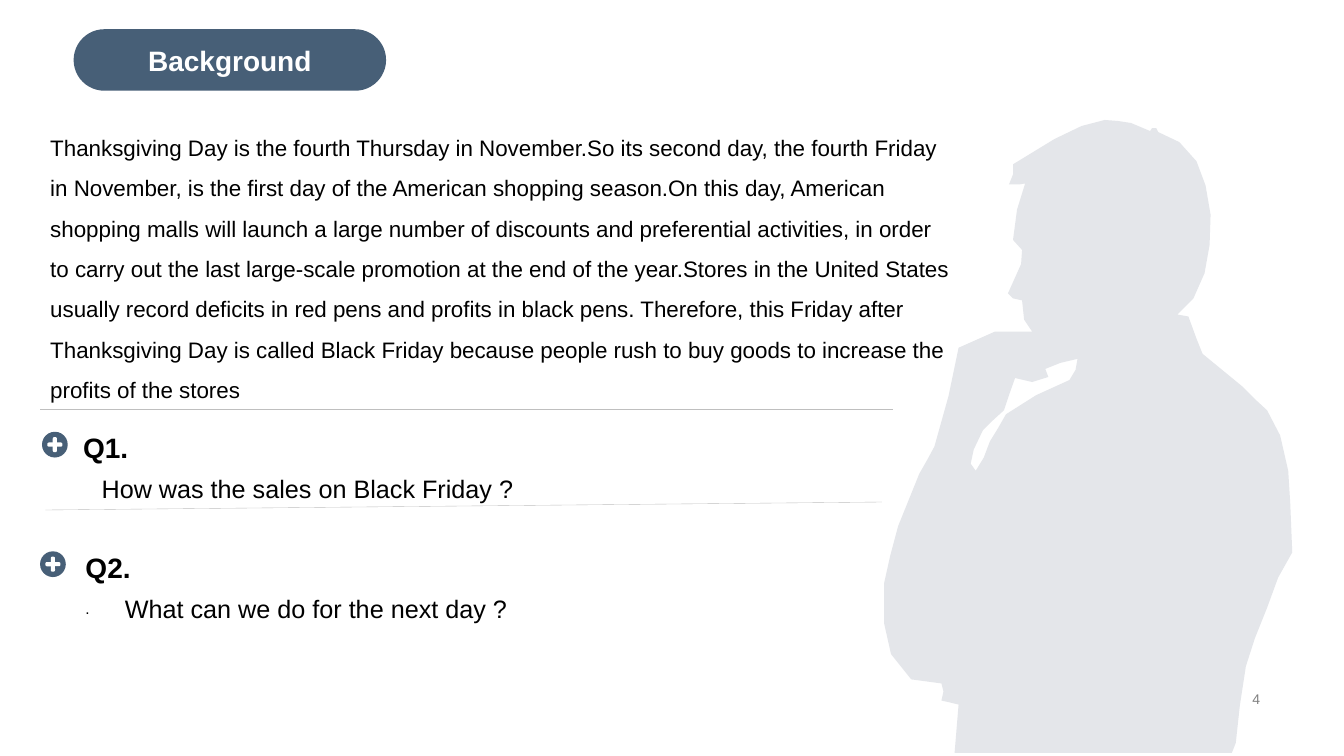
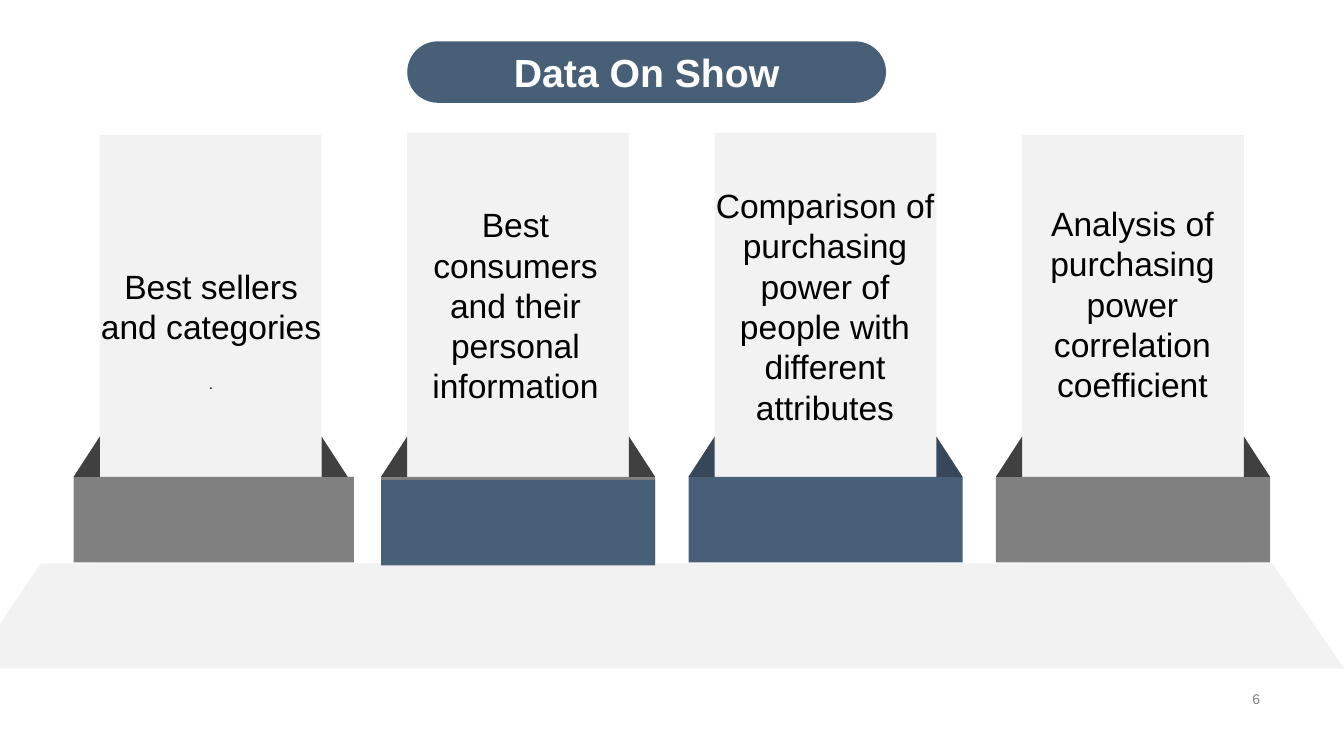
from lxml.etree import SubElement
from pptx import Presentation
from pptx.dml.color import RGBColor
from pptx.enum.shapes import MSO_CONNECTOR, MSO_SHAPE
from pptx.enum.text import MSO_ANCHOR, PP_ALIGN
from pptx.oxml.ns import qn
from pptx.util import Pt

FONT = "Arial"
BLACK, WHITE = "000000", "FFFFFF"
NAVY, DARK_NAVY = "475F77", "354759"
GREY, DARK_GREY, PALE = "808080", "404040", "F2F2F2"
RULE, SILHOUETTE = "BFBFBF", "E4E6EA"


def add_filled(slide, kind, box, fill):
    """Add a flat preset shape; box is left, top, width, height in points."""
    shape = slide.shapes.add_shape(kind, *map(Pt, box))
    shape.shadow.inherit = False
    shape.fill.solid()
    shape.fill.fore_color.rgb = RGBColor.from_string(fill)
    shape.line.fill.background()
    return shape


def set_text(shape, text, size, color=BLACK, bold=False, align=PP_ALIGN.LEFT,
             anchor=MSO_ANCHOR.TOP, spacing=1.0):
    frame = shape.text_frame
    frame.word_wrap = True
    frame.vertical_anchor = anchor
    paragraph = frame.paragraphs[0]
    paragraph.text = text
    paragraph.alignment = align
    paragraph.line_spacing = spacing
    paragraph.font.name = FONT
    paragraph.font.size = Pt(size)
    paragraph.font.bold = bold
    paragraph.font.color.rgb = RGBColor.from_string(color)


prs = Presentation()
prs.slide_width, prs.slide_height = Pt(960), Pt(540)
blank = prs.slide_layouts[6]
background, data_show = (prs.slides.add_slide(blank) for _ in range(2))

# Shared title pill and page number
for slide, title, size, box, number in [
    (background, "Background", 20, (52.6, 20.9, 223.2, 43.9), "4"),
    (data_show, "Data On Show", 28, (290.9, 29.5, 342, 43.9), "6"),
]:
    pill = add_filled(slide, MSO_SHAPE.ROUNDED_RECTANGLE, box, NAVY)
    pill.adjustments[0] = 0.5
    set_text(pill, title, size, WHITE, True, PP_ALIGN.CENTER, MSO_ANCHOR.MIDDLE)
    page = slide.shapes.add_textbox(Pt(678.2), Pt(491), Pt(229), Pt(16.6))
    set_text(page, number, 10, GREY, align=PP_ALIGN.RIGHT, anchor=MSO_ANCHOR.MIDDLE)

# Background: thinking figure, outline in units of 0.72 pt
figure_outline = [
    (934, 678), (936, 686), (934, 695), (943, 697), (951, 699), (947, 747),
    (1222, 747), (1226, 737), (1230, 700), (1236, 661), (1245, 633), (1257, 603),
    (1268, 573), (1282, 548), (1280, 499), (1278, 467), (1270, 432), (1257, 407),
    (1245, 396), (1232, 383), (1193, 351), (1187, 336), (1179, 314), (1168, 312),
    (1184, 296), (1195, 271), (1200, 243), (1201, 213), (1196, 184), (1187, 160),
    (1170, 141), (1149, 131), (1147, 127), (1143, 127), (1141, 130), (1122, 122),
    (1109, 120), (1096, 119), (1073, 125), (1046, 138), (1005, 163), (1005, 173),
    (1001, 183), (1011, 183), (1017, 182), (1009, 208), (1005, 238), (1014, 248),
    (1013, 262), (1000, 291), (1005, 296), (1014, 298), (1016, 317), (1024, 329),
    (987, 329), (951, 345), (941, 393), (927, 443), (920, 456), (912, 470),
    (891, 522), (883, 552), (877, 579), (877, 618), (884, 649), (904, 674),
]
arm_gap = [
    (975, 427), (985, 417), (996, 407), (1001, 392), (1007, 375), (1024, 379),
    (1040, 374), (1037, 366), (1052, 360), (1069, 356), (1067, 367), (1061, 377),
    (1028, 392), (998, 411), (990, 425), (982, 438), (976, 454), (968, 467),
    (963, 460), (966, 446),
]
builder = background.shapes.build_freeform(*figure_outline[0], scale=Pt(0.72))
builder.add_line_segments(figure_outline[1:])
builder.move_to(*arm_gap[0])
builder.add_line_segments(arm_gap[1:])
figure = builder.convert_to_shape()
figure.shadow.inherit = False
figure.fill.solid()
figure.fill.fore_color.rgb = RGBColor.from_string(SILHOUETTE)
figure.line.fill.background()

story = (
    "Thanksgiving Day is the fourth Thursday in November.So its second day, the "
    "fourth Friday in November, is the first day of the American shopping season."
    "On this day, American shopping malls will launch a large number of discounts "
    "and preferential activities, in order to carry out the last large-scale "
    "promotion at the end of the year.Stores in the United States usually record "
    "deficits in red pens and profits in black pens. Therefore, this Friday after "
    "Thanksgiving Day is called Black Friday because people rush to buy goods to "
    "increase the profits of the stores"
)
body = background.shapes.add_textbox(Pt(28.8), Pt(82.8), Pt(661), Pt(130.3))
set_text(body, story, 16, spacing=1.5)

for ends in [(28.8, 292.3, 637.9, 292.3), (32.4, 364.3, 630, 358.6)]:
    divider = background.shapes.add_connector(MSO_CONNECTOR.STRAIGHT, *map(Pt, ends))
    divider.line.width = Pt(0.25)
    divider.line.color.rgb = RGBColor.from_string(RULE)
    SubElement(divider._element.spPr, qn("a:effectLst"))

# Background: questions, each with a plus badge
for label, question, badge_x, badge_y, label_x, label_y, question_x, question_y in [
    ("Q1.", "How was the sales on Black Friday ?", 30, 308.4, 52.3, 299.5, 65.5, 334.8),
    ("Q2.", "What can we do for the next day ?", 28.6, 393.8, 54, 385.2, 82.1, 420.5),
]:
    add_filled(background, MSO_SHAPE.OVAL, (badge_x, badge_y, 18.4, 18.4), NAVY)
    for width, height in [(10.8, 3), (3, 10.8)]:
        bar_box = (badge_x + 9.2 - width / 2, badge_y + 9.2 - height / 2, width, height)
        bar = add_filled(background, MSO_SHAPE.ROUNDED_RECTANGLE, bar_box, WHITE)
        bar.adjustments[0] = 0.4
    heading = background.shapes.add_textbox(Pt(label_x), Pt(label_y), Pt(200), Pt(35.3))
    set_text(heading, label, 20, bold=True, anchor=MSO_ANCHOR.BOTTOM)
    line = background.shapes.add_textbox(Pt(question_x), Pt(question_y), Pt(391), Pt(28.8))
    set_text(line, question, 18)

dot = background.shapes.add_textbox(Pt(54), Pt(417.6), Pt(558.7), Pt(64))
set_text(dot, ".", 11, spacing=1.5)

# Data On Show: four panels standing in boxes
COLUMN_STEP, BOX_LEFT, BOX_TOP, BOX_WIDTH, BOX_HEIGHT = 219.6, 52.6, 340.6, 195.8, 61.2
FLAP_WIDTH, FLAP_HEIGHT = 18.7, 28.8
PANEL_WIDTH, PANEL_BOTTOM = 158.4, 401.8
topics = [
    ("Best sellers and categories", 96.5, 64.8, 96.5, 200.2, GREY, DARK_GREY),
    ("Best consumers and their personal information",
     95, 282.2, 95.8, BOX_WIDTH, GREY, DARK_GREY),
    ("Comparison of purchasing power of people with different attributes",
     95, 503.3, 96.5, BOX_WIDTH, NAVY, DARK_NAVY),
    ("Analysis of purchasing power correlation coefficient",
     96.5, 722.9, 95, BOX_WIDTH, GREY, DARK_GREY),
]
for column, (topic, panel_top, text_left, text_top, box_width, front, side) in enumerate(topics):
    left = BOX_LEFT + column * COLUMN_STEP
    panel_left = left + FLAP_WIDTH
    add_filled(data_show, MSO_SHAPE.RECTANGLE,
               (panel_left, panel_top, PANEL_WIDTH, PANEL_BOTTOM - panel_top), PALE)
    add_filled(data_show, MSO_SHAPE.RECTANGLE, (left, BOX_TOP, box_width, BOX_HEIGHT), front)
    for flap_left, mirrored in [(left, True), (panel_left + PANEL_WIDTH, False)]:
        flap = add_filled(data_show, MSO_SHAPE.RIGHT_TRIANGLE,
                          (flap_left, BOX_TOP - FLAP_HEIGHT, FLAP_WIDTH, FLAP_HEIGHT), side)
        if mirrored:
            flap._element.spPr.find(qn("a:xfrm")).set("flipH", "1")
    caption = data_show.shapes.add_textbox(Pt(text_left), Pt(text_top), Pt(172), Pt(244))
    set_text(caption, topic, 24, align=PP_ALIGN.CENTER, anchor=MSO_ANCHOR.MIDDLE)

dot = data_show.shapes.add_textbox(Pt(64.8), Pt(257), Pt(172), Pt(68.4))
set_text(dot, ".", 11, align=PP_ALIGN.CENTER, spacing=1.5)

floor = add_filled(data_show, MSO_SHAPE.TRAPEZOID, (-21.6, 402.5, 981.4, 74.9), PALE)
floor.adjustments[0] = 0.68
add_filled(data_show, MSO_SHAPE.RECTANGLE,
           (BOX_LEFT + COLUMN_STEP, BOX_TOP + 2.1, BOX_WIDTH, BOX_HEIGHT), NAVY)

prs.save("out.pptx")
